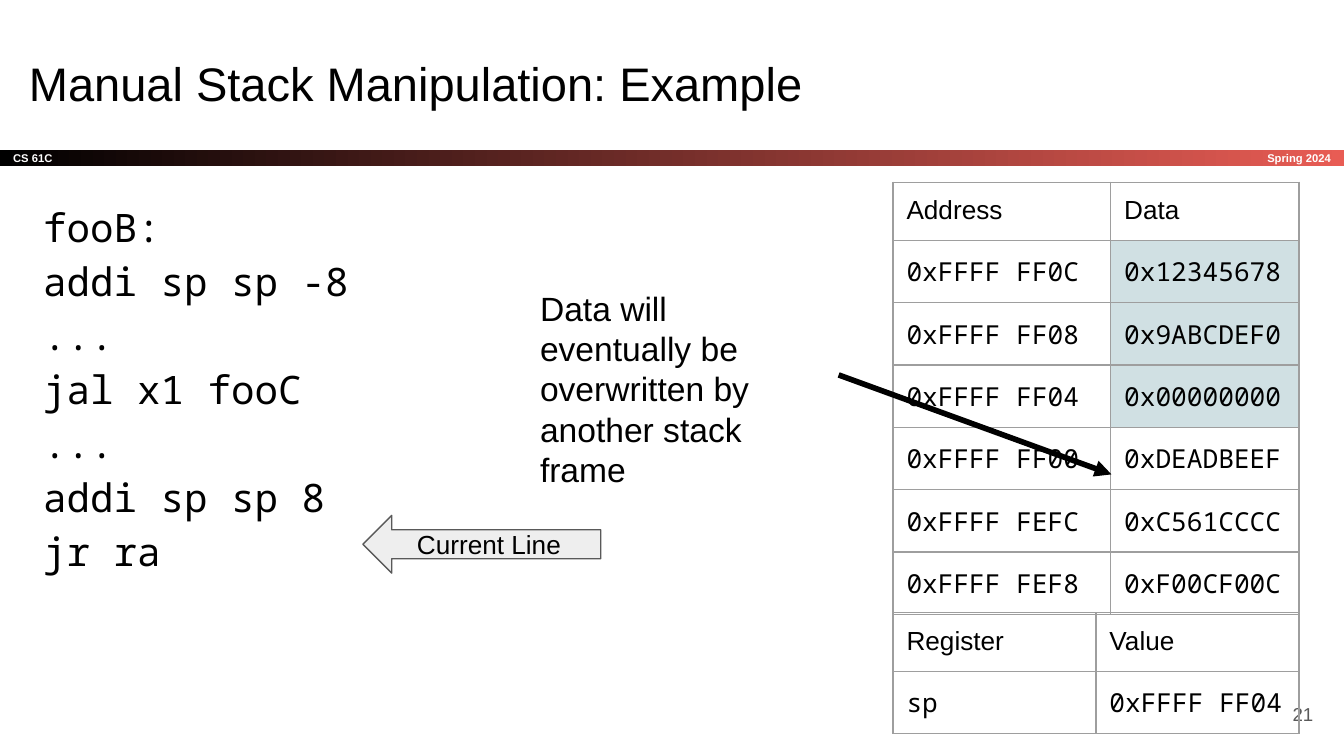
from copy import deepcopy

from pptx import Presentation
from pptx.dml.color import RGBColor
from pptx.enum.shapes import MSO_CONNECTOR, MSO_SHAPE
from pptx.enum.text import MSO_ANCHOR as ANCHOR, PP_ALIGN as ALIGN
from pptx.oxml import parse_xml
from pptx.oxml.ns import nsdecls, qn
from pptx.util import Inches, Pt

# The grid has 100 columns across the slide; rows have the same size
COLUMNS, ROWS = 100, 56.25
UNIT = Inches(10) / COLUMNS
INSET = 1
SANS, MONO = "Arial", "Noto Sans Mono"
BLACK, WHITE, GREY, BORDER = "000000", "FFFFFF", "595959", "9E9E9E"
HIGHLIGHT = "D0E0E3"

CODE = ["fooB:", "addi sp sp -8", "...", "jal x1 fooC", "...", "addi sp sp 8", "jr ra"]
STACK = [
    ("Address", "Data"),
    ("0xFFFF FF0C", "0x12345678"),
    ("0xFFFF FF08", "0x9ABCDEF0"),
    ("0xFFFF FF04", "0x00000000"),
    ("0xFFFF FF00", "0xDEADBEEF"),
    ("0xFFFF FEFC", "0xC561CCCC"),
    ("0xFFFF FEF8", "0xF00CF00C"),
]
REGISTERS = [("Register", "Value"), ("sp", "0xFFFF FF04")]


def grid(*cells):
    return [round(cell * UNIT) for cell in cells]


def color(hex_value):
    return RGBColor.from_string(hex_value)


def write(frame, text, *, size, font=SANS, fill=BLACK, bold=False,
          align=ALIGN.LEFT, anchor=ANCHOR.TOP):
    """Fill a text frame with one paragraph; newlines become line breaks."""
    frame.word_wrap = True
    frame.vertical_anchor = anchor
    frame.margin_left = frame.margin_right = grid(INSET)[0]
    frame.margin_top = frame.margin_bottom = grid(INSET)[0]
    paragraph = frame.paragraphs[0]
    paragraph.text = text
    paragraph.alignment = align
    for run in paragraph.runs:
        run.font.name, run.font.size, run.font.bold = font, Pt(size), bold
        run.font.color.rgb = color(fill)
    # Line breaks need the same format to keep the line height even
    for line_break in paragraph._p.findall(qn("a:br")):
        line_break.append(deepcopy(paragraph.runs[0]._r.rPr))
    return paragraph


def place(shape, *cells):
    shape.left, shape.top, shape.width, shape.height = grid(*cells)


def add_label(slide, cells, text, **style):
    write(slide.shapes.add_textbox(*grid(*cells)).text_frame, text, **style)


def add_block(slide, kind, cells, text, **style):
    shape = slide.shapes.add_shape(kind, *grid(*cells))
    shape.shadow.inherit = False
    write(shape.text_frame, text, anchor=ANCHOR.MIDDLE, **style)
    return shape


def add_border(cell):
    properties = cell._tc.get_or_add_tcPr()
    for position, side in enumerate(("lnL", "lnR", "lnT", "lnB")):
        properties.insert(position, parse_xml(
            f'<a:{side} {nsdecls("a")} w="{Pt(0.75)}"><a:solidFill>'
            f'<a:srgbClr val="{BORDER}"/></a:solidFill></a:{side}>'))


def add_memory_table(slide, left, top, widths, rows, highlighted=()):
    heights = [4.2] + [4.64] * (len(rows) - 1)
    table = slide.shapes.add_table(
        len(rows), len(widths), *grid(left, top, sum(widths), sum(heights))).table
    table.first_row = table.horz_banding = False
    for column, width in zip(table.columns, grid(*widths)):
        column.width = width
    for table_row, height in zip(table.rows, grid(*heights)):
        table_row.height = height
    for row_index, row in enumerate(rows):
        for column_index, text in enumerate(row):
            cell = table.cell(row_index, column_index)
            cell.margin_left = cell.margin_right = grid(INSET)[0]
            cell.margin_top = cell.margin_bottom = grid(INSET)[0]
            run = cell.text_frame.paragraphs[0].add_run()
            run.text = text
            run.font.name = MONO if row_index else SANS
            run.font.size = Pt(14)
            run.font.color.rgb = color(BLACK)
            if (row_index, column_index) in highlighted:
                cell.fill.solid()
                cell.fill.fore_color.rgb = color(HIGHLIGHT)
            else:
                cell.fill.background()
            add_border(cell)


def add_arrow(slide, start, end):
    arrow = slide.shapes.add_connector(MSO_CONNECTOR.STRAIGHT, *grid(*start, *end))
    arrow.line.color.rgb = color(BLACK)
    arrow.line.width = Pt(3)
    arrow.line._get_or_add_ln().append(
        parse_xml(f'<a:tailEnd {nsdecls("a")} type="triangle"/>'))
    arrow._element.spPr.append(parse_xml(f'<a:effectLst {nsdecls("a")}/>'))


def add_course_bar(slide):
    top, height = 11.15, 1.2
    style = dict(size=6, fill=WHITE, bold=True)
    bar = add_block(slide, MSO_SHAPE.RECTANGLE, (0, top, COLUMNS, height), "CS 61C", **style)
    bar.fill.gradient()
    bar.fill.gradient_angle = 0
    for stop, position, shade in zip(bar.fill.gradient_stops, (0, 1), (BLACK, "E85C54")):
        stop.position = position
        stop.color.rgb = color(shade)
    bar.line.fill.background()
    add_label(slide, (83.4, top, 16.6, height), "Spring 2024",
              align=ALIGN.RIGHT, anchor=ANCHOR.MIDDLE, **style)


def fill_code(placeholder):
    place(placeholder, 2.2, 13.6, 54.1, 41.2)
    paragraph = write(placeholder.text_frame, "\n".join(CODE), size=21, font=MONO)
    paragraph.line_spacing = 1.15
    paragraph.space_before, paragraph.space_after = Pt(0), Pt(12)
    properties = paragraph._p.get_or_add_pPr()
    properties.set("marL", "0")
    properties.set("indent", "0")
    properties.append(parse_xml(f'<a:buNone {nsdecls("a")}/>'))


def main():
    presentation = Presentation()
    presentation.slide_width, presentation.slide_height = grid(COLUMNS, ROWS)
    slide = presentation.slides.add_slide(presentation.slide_layouts[1])

    # Title, course bar and code
    add_course_bar(slide)
    title, body = slide.placeholders
    place(title, 1.15, 3, 93.2, 6.3)
    write(title.text_frame, "Manual Stack Manipulation: Example", size=25.2,
          anchor=ANCHOR.MIDDLE)
    fill_code(body)
    add_label(slide, (92.7, 51, 6, 4.3), "21", size=10, fill=GREY,
              align=ALIGN.RIGHT, anchor=ANCHOR.MIDDLE)

    # Stack memory and registers
    add_memory_table(slide, 66.45, 13.55, (16.2, 14), STACK,
                     highlighted=[(row, 1) for row in (1, 2, 3)])
    add_memory_table(slide, 66.45, 45.6, (15.1, 15.1), REGISTERS)

    # Pointer to the current line
    pointer = add_block(slide, MSO_SHAPE.LEFT_ARROW, (27, 38.35, 17.7, 4.3),
                        "Current Line", size=14, align=ALIGN.CENTER)
    pointer.fill.solid()
    pointer.fill.fore_color.rgb = color("EEEEEE")
    pointer.line.color.rgb = color(GREY)
    pointer.line.width = Pt(0.75)

    # Remark on the freed data
    add_label(slide, (39.2, 20.4, 23.3, 14.9),
              "Data will eventually be overwritten by another stack frame", size=18)
    add_arrow(slide, (62.4, 27.9), (82.7, 35.3))

    presentation.save("out.pptx")


if __name__ == "__main__":
    main()
